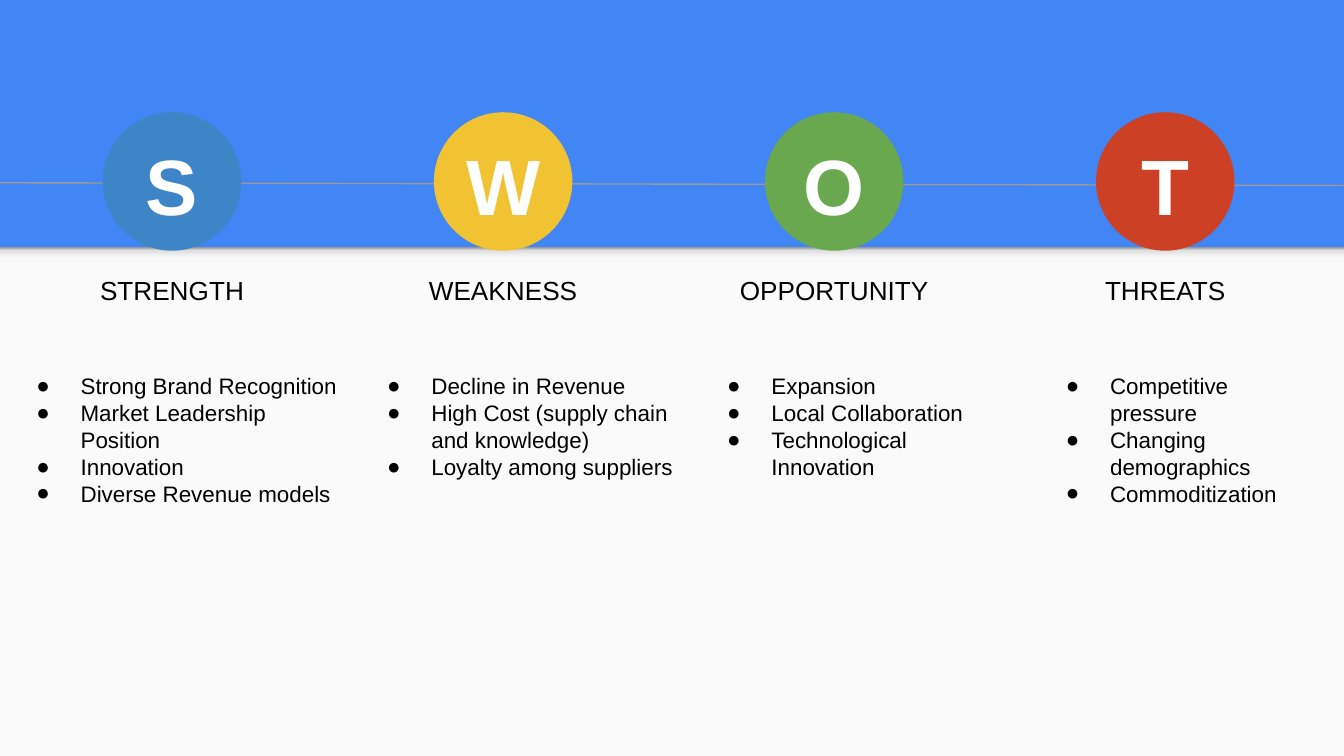
from lxml.etree import SubElement
from pptx import Presentation
from pptx.dml.color import RGBColor
from pptx.enum.shapes import MSO_CONNECTOR, MSO_SHAPE
from pptx.enum.text import MSO_ANCHOR, MSO_AUTO_SIZE, PP_ALIGN
from pptx.oxml.ns import qn
from pptx.util import Inches, Pt


def color(hex_value):
    return RGBColor.from_string(hex_value)


def write(frame, lines, align, size, hex_value, bold=False):
    frame_format = {
        "word_wrap": True, "auto_size": MSO_AUTO_SIZE.NONE, "vertical_anchor": MSO_ANCHOR.TOP,
        "margin_left": Inches(0.1), "margin_right": Inches(0.1),
        "margin_top": Inches(0.1), "margin_bottom": Inches(0.1),
    }
    paragraph_format = {"alignment": align, "line_spacing": 1.0,
                        "space_before": Pt(0), "space_after": Pt(0)}
    font_format = {"name": "Arial", "size": Pt(size), "bold": bold}
    for key, value in frame_format.items():
        setattr(frame, key, value)
    frame.text = "\n".join(lines)
    for paragraph in frame.paragraphs:
        for key, value in paragraph_format.items():
            setattr(paragraph, key, value)
        font = paragraph.runs[0].font
        for key, value in font_format.items():
            setattr(font, key, value)
        font.color.rgb = color(hex_value)


# Letter, circle colour, heading, heading width, list left, width and height, list items
quadrants = [
    ("S", "3D85C6", "STRENGTH", 1.45, 0, 2.7, 1.21,
     ["Strong Brand Recognition", "Market Leadership Position",
      "Innovation", "Diverse Revenue models"]),
    ("W", "F1C232", "WEAKNESS", 1.45, 2.61, 2.52, 1.21,
     ["Decline in Revenue", "High Cost (supply chain and knowledge)",
      "Loyalty among suppliers"]),
    ("O", "6AA84F", "OPPORTUNITY", 1.79, 5.14, 2.44, 1.01,
     ["Expansion", "Local Collaboration", "Technological Innovation"]),
    ("T", "CC4125", "THREATS", 1.45, 7.66, 2.26, 1.21,
     ["Competitive pressure", "Changing demographics", "Commoditization"]),
]
first_center, last_center = 1.28, 8.67
pitch = (last_center - first_center) / (len(quadrants) - 1)
diameter = 1.02
band_height = Inches(1.84)

# Widescreen slide, 16:9
prs = Presentation()
prs.slide_width = Inches(10)
prs.slide_height = prs.slide_width * 9 // 16
slide = prs.slides.add_slide(prs.slide_layouts[4])  # Comparison: four body placeholders
shapes = slide.shapes
title, *list_bodies = list(slide.placeholders)
title._element.getparent().remove(title._element)

# Blue background with a light panel and the shaded edge under the band
slide.background.fill.solid()
slide.background.fill.fore_color.rgb = color("4285F4")
panel = shapes.add_shape(MSO_SHAPE.RECTANGLE, 0, band_height,
                         prs.slide_width, prs.slide_height - band_height)
panel.fill.solid()
panel.fill.fore_color.rgb = color("FAFAFA")
edge = shapes.add_shape(MSO_SHAPE.RECTANGLE, 0, band_height, prs.slide_width, Inches(0.12))
edge.fill.gradient()
edge.fill.gradient_angle = 90
stops = edge._element.spPr.find(".//" + qn("a:gsLst"))
for stop in list(stops):
    stops.remove(stop)
for percent, shade in [(0, "F9F9F9"), (36, "F9F9F9"), (80, "DEDEDE"), (100, "999999")]:
    stop = SubElement(stops, qn("a:gs"), pos=str(percent * 1000))
    SubElement(stop, qn("a:srgbClr"), val=shade)
for part in (panel, edge):
    part.line.fill.background()
    part.shadow.inherit = False

# Line behind the circles
thread = shapes.add_connector(MSO_CONNECTOR.STRAIGHT, 0, Inches(1.36), Inches(10.02), Inches(1.38))
thread.line.color.rgb = color("999999")
thread.line.width = Pt(0.75)
SubElement(thread._element.spPr, qn("a:effectLst"))

for i, quadrant in enumerate(quadrants):
    letter, hue, heading, heading_width, list_left, list_width, list_height, items = quadrant
    center = first_center + i * pitch

    # Circle
    circle = shapes.add_shape(MSO_SHAPE.OVAL, Inches(center - diameter / 2), Inches(0.84),
                              Inches(diameter), Inches(diameter))
    circle.fill.solid()
    circle.fill.fore_color.rgb = color(hue)
    circle.line.color.rgb = color(hue)
    circle.line.width = Pt(0.75)
    circle.shadow.inherit = False

    # Letter and heading, centred on the circle
    for text, top, width, height, size, ink, bold in [
        (letter, 0.92, 0.88, 0.91, 42, "FFFFFF", True),
        (heading, 1.94, heading_width, 0.44, 14, "000000", False),
    ]:
        label = shapes.add_textbox(Inches(center - width / 2), Inches(top),
                                   Inches(width), Inches(height))
        write(label.text_frame, [text], PP_ALIGN.CENTER, size, ink, bold)

    # Bulleted list, brought in front of the panel
    body = list_bodies[i]
    place = {"left": list_left, "top": 2.67, "width": list_width, "height": list_height}
    for key, value in place.items():
        setattr(body, key, Inches(value))
    write(body.text_frame, items, PP_ALIGN.LEFT, 12, "000000")
    for paragraph in body.text_frame.paragraphs:
        properties = paragraph._p.get_or_add_pPr()
        properties.set("marL", str(Inches(0.5)))
        properties.set("indent", str(Inches(-0.33)))
        SubElement(SubElement(properties, qn("a:buClr")), qn("a:srgbClr"), val="000000")
        SubElement(properties, qn("a:buFont"), typeface="Arial")
        SubElement(properties, qn("a:buChar"), char="●")
    shapes._spTree.append(body._element)

prs.save("out.pptx")
